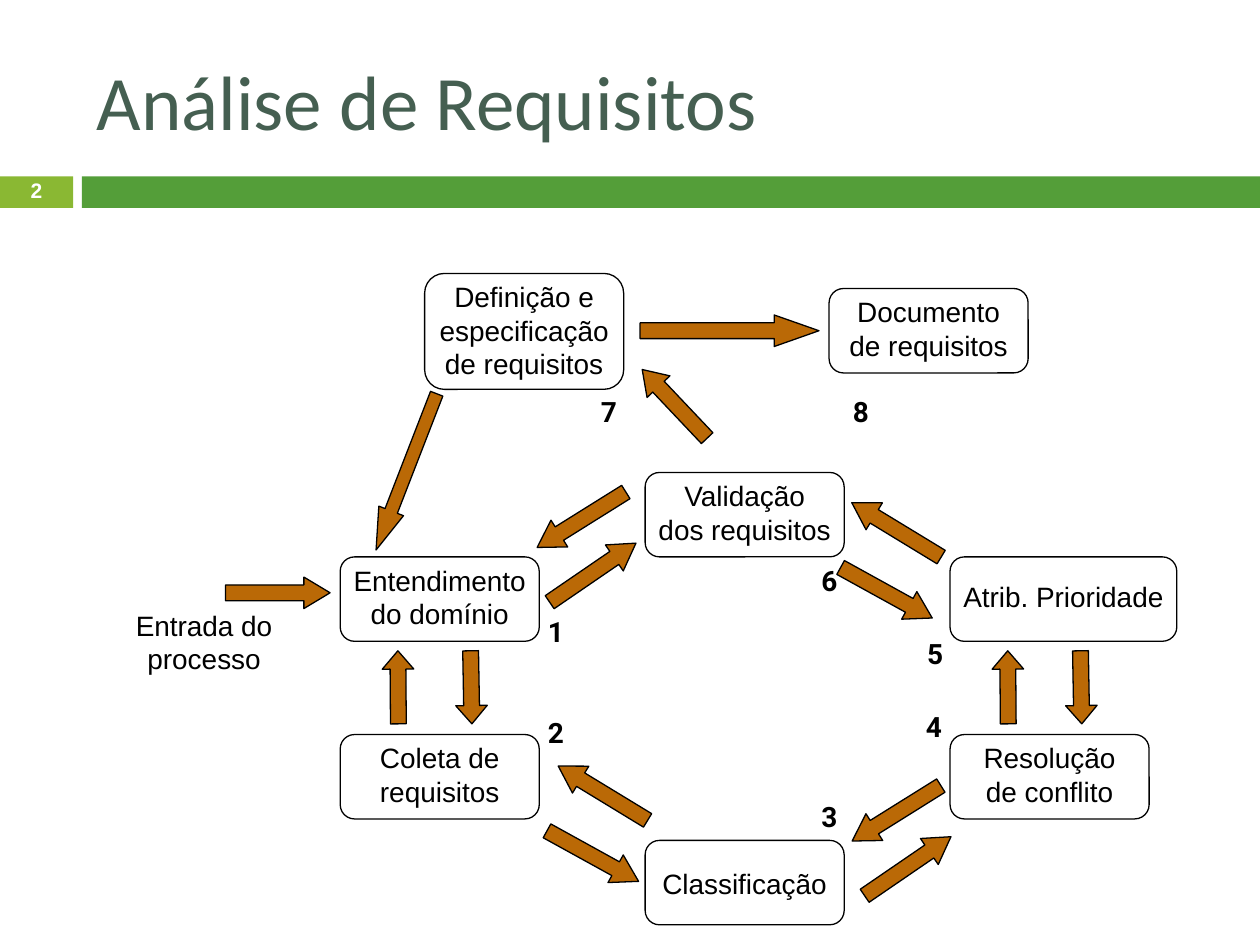
from dataclasses import dataclass
from pptx import Presentation as Deck
from pptx.dml.color import RGBColor as Rgb
from pptx.enum.shapes import MSO_SHAPE as Kind
from pptx.enum.text import MSO_ANCHOR as Anchor, MSO_AUTO_SIZE as Fit, PP_ALIGN as Align
from pptx.util import Inches, Pt


@dataclass(frozen=True)
class Theme:
    ink: str = "000000"
    white: str = "FFFFFF"
    title: str = "455F51"
    lime: str = "8AB833"
    green: str = "549E39"
    arrow: str = "BA6906"
    big: int = 44
    body: int = 16
    small: int = 12
    edge: float = 0.75
    sans: str = "Arial"
    head: str = "Calibri"
    digit: str = "Roboto"


def apply(item, values):
    for name, value in values.items():
        setattr(item, name, value)


class Page:
    def __init__(self, slide, theme):
        self.shapes = slide.shapes
        self.theme = theme

    def shape(self, kind, box, fill=None, edge=False):
        item = self.shapes.add_shape(kind, *map(Inches, box))
        item.shadow.inherit = False
        if fill:
            item.fill.solid()
            item.fill.fore_color.rgb = Rgb.from_string(fill)
        else:
            item.fill.background()
        if edge:
            item.line.color.rgb = Rgb.from_string(self.theme.ink)
            item.line.width = Pt(self.theme.edge)
        else:
            item.line.fill.background()
        return item

    def bar(self, box, fill):
        self.shape(Kind.RECTANGLE, box, fill)

    def text(self, box, words, font=None, frame=None, para=None):
        theme = self.theme
        area = self.shapes.add_textbox(*map(Inches, box)).text_frame
        apply(area, {"word_wrap": False, "auto_size": Fit.NONE,
                     "vertical_anchor": Anchor.TOP} | (frame or {}))
        look = {"name": theme.sans, "size": Pt(theme.body), "bold": False} | (font or {})
        color = look.pop("color", theme.ink)
        for i, line in enumerate(words.split("\n")):
            row = area.add_paragraph() if i else area.paragraphs[0]
            apply(row, {"alignment": Align.CENTER} | (para or {}))
            run = row.add_run()
            run.text = line
            apply(run.font, look)
            run.font.color.rgb = Rgb.from_string(color)

    def label(self, mid, top, wide, words):
        high = 0.1 + 0.27 * (words.count("\n") + 1)
        self.text((mid - wide / 2, top, wide, high), words)

    def node(self, left, top, words, wide, span=1.58, high=0.67, drop=0):
        item = self.shape(Kind.ROUNDED_RECTANGLE, (left, top, span, high), edge=True)
        item.adjustments[0] = 0.17
        self.label(left + span / 2, top + drop, wide, words)

    def arrow(self, left, top, turn=0, span=0.83, high=0.25):
        item = self.shape(Kind.RIGHT_ARROW, (left, top, span, high), self.theme.arrow, True)
        item.adjustments[1] = span / high / 4
        item.rotation = turn

    def digit(self, left, top, words):
        self.text((left, top, 0.32, 0.37), words,
                  {"name": self.theme.digit, "bold": True}, para={"alignment": Align.LEFT})


def main():
    deck = Deck()
    apply(deck, {"slide_width": Inches(10), "slide_height": Inches(7.5)})
    theme = Theme()
    page = Page(deck.slides.add_slide(deck.slide_layouts[6]), theme)

    page.bar((0, 1.4, 0.58, 0.25), theme.lime)
    page.bar((0.65, 1.4, 9.35, 0.25), theme.green)
    middle = {"word_wrap": True, "vertical_anchor": Anchor.MIDDLE}
    page.text((0, 1.39, 0.58, 0.27), "2",
              {"size": Pt(theme.small), "bold": True, "color": theme.white},
              middle, {"line_spacing": 0.8})
    page.text((0.67, 0.25, 8.92, 1.08), "Análise de Requisitos",
              {"name": theme.head, "size": Pt(theme.big), "color": theme.title},
              middle, {"alignment": Align.LEFT})

    page.node(2.7, 4.42, "Entendimento\ndo domínio", 1.57)
    page.node(2.7, 5.83, "Coleta de\nrequisitos", 1.15)
    page.node(5.12, 6.67, "Classificação", 1.5, drop=0.16)
    page.node(3.37, 2.17, "Definição e\nespecificação\nde requisitos", 1.54, high=0.92)
    page.node(7.54, 5.83, "Resolução\nde conflito", 1.24)
    page.node(7.54, 4.42, "Atrib. Prioridade", 1.79, span=1.8, drop=0.13)
    page.node(5.12, 3.75, "Validação\ndos requisitos", 1.57)
    page.node(6.58, 2.29, "Documento\nde requisitos", 1.45)
    page.label(1.62, 4.78, 1.28, "Entrada do\nprocesso")

    for left in (2.87, 7.71):
        page.arrow(left + 0.58, 5.33, 89, 0.58)
        page.arrow(left, 5.33, 269.6, 0.58)
    for left, top in ((4.29, 6.67), (6.62, 4.58)):
        page.arrow(left, top, 28.9)
        page.arrow(left + 0.08, top - 0.5, 211.3)
    for left, top in ((4.29, 4.42), (6.79, 6.75)):
        page.arrow(left, top, 325.6)
        page.arrow(left - 0.09, top - 0.42, 148)
    page.arrow(1.79, 4.58)
    page.arrow(4.98, 3.08, 226.6, 0.75)
    page.arrow(2.56, 3.64, 111.2, 1.33, 0.21)
    page.arrow(5.08, 2.5, span=1.42)

    spots = ((4.25, 4.83), (4.25, 5.63), (6.42, 6.3), (7.25, 5.58),
             (7.26, 5), (6.42, 4.42), (4.67, 3.08), (6.67, 3.08))
    for step, spot in enumerate(spots, 1):
        page.digit(*spot, str(step))

    deck.save("out.pptx")


if __name__ == "__main__":
    main()
